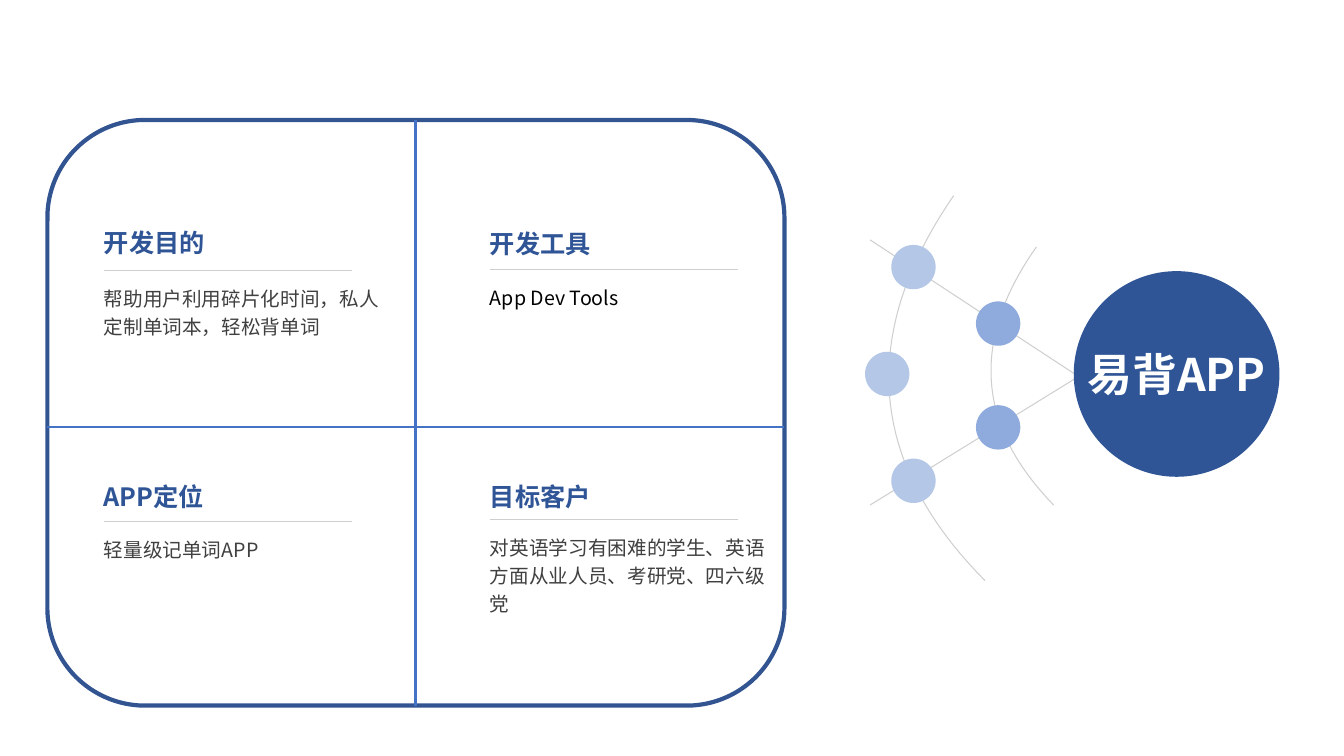
from lxml.etree import SubElement
from pptx import Presentation
from pptx.dml.color import RGBColor
from pptx.enum.shapes import MSO_CONNECTOR, MSO_SHAPE
from pptx.enum.text import MSO_ANCHOR, PP_ALIGN
from pptx.oxml.ns import qn
from pptx.util import Inches, Pt

FONT = "Noto Sans CJK SC"
NAVY = RGBColor(0x2F, 0x55, 0x97)
FRAME_BLUE = RGBColor(0x32, 0x54, 0x91)
DIVIDER_BLUE = RGBColor(0x44, 0x72, 0xC4)
MID_BLUE = RGBColor(0x8F, 0xAA, 0xDC)
PALE_BLUE = RGBColor(0xB4, 0xC7, 0xE7)
GREY = RGBColor(0xCF, 0xCF, 0xCF)
DARK_GREY = RGBColor(0x40, 0x40, 0x40)
BLACK = RGBColor(0, 0, 0)
WHITE = RGBColor(0xFF, 0xFF, 0xFF)

prs = Presentation()
prs.slide_width = Inches(13.33)
prs.slide_height = Inches(7.5)
slide = prs.slides.add_slide(prs.slide_layouts[6])
shapes = slide.shapes


def add_line(x1, y1, x2, y2, color=GREY, width=0.75):
    line = shapes.add_connector(
        MSO_CONNECTOR.STRAIGHT, Inches(x1), Inches(y1), Inches(x2), Inches(y2))
    line.line.color.rgb = color
    line.line.width = Pt(width)
    SubElement(line._element.spPr, qn("a:effectLst"))
    return line


def write_text(shape, text, size, color, bold, align, spacing, anchor, wrap, inset):
    frame = shape.text_frame
    frame_format = {"word_wrap": wrap, "vertical_anchor": anchor}
    for side in ("left", "top", "right", "bottom"):
        frame_format[f"margin_{side}"] = Inches(inset)
    for name, value in frame_format.items():
        setattr(frame, name, value)
    paragraph = frame.paragraphs[0]
    paragraph.alignment = align
    paragraph.line_spacing = spacing
    run = paragraph.add_run()
    run.text = text
    for name, value in {"size": Pt(size), "bold": bold, "name": FONT}.items():
        setattr(run.font, name, value)
    run.font.color.rgb = color
    SubElement(run._r.get_or_add_rPr(), qn("a:ea"), typeface=FONT)


ORBITS = [
    [(10.45, 5.01), (9.68, 4.22), (9.63, 3.37), (10.28, 2.45)],
    [(9.77, 5.76), (8.61, 4.59), (8.51, 3.32), (9.46, 1.94)],
]
STEPS = 40
for controls in ORBITS:
    points = []
    for step in range(STEPS + 1):
        t = step / STEPS
        weights = [(1 - t) ** 3, 3 * t * (1 - t) ** 2, 3 * t ** 2 * (1 - t), t ** 3]
        points.append(tuple(
            Inches(sum(w * c[axis] for w, c in zip(weights, controls)))
            for axis in (0, 1)))
    builder = shapes.build_freeform(*points[0])
    builder.add_line_segments(points[1:], close=False)
    orbit = builder.convert_to_shape()
    orbit.shadow.inherit = False
    orbit.fill.background()
    orbit.line.color.rgb = GREY
    orbit.line.width = Pt(0.75)

add_line(8.63, 2.38, 10.69, 3.73)
add_line(10.69, 3.74, 8.63, 5.01)

CIRCLES = [
    (9.68, 2.99, 0.44, MID_BLUE),
    (9.68, 4.02, 0.44, MID_BLUE),
    (8.84, 2.43, 0.44, PALE_BLUE),
    (8.58, 3.49, 0.44, PALE_BLUE),
    (8.84, 4.55, 0.44, PALE_BLUE),
    (10.65, 2.69, 2.04, NAVY),
]
for left, top, diameter, color in CIRCLES:
    circle = shapes.add_shape(
        MSO_SHAPE.OVAL, Inches(left), Inches(top), Inches(diameter), Inches(diameter))
    circle.shadow.inherit = False
    circle.fill.solid()
    circle.fill.fore_color.rgb = color
    circle.line.fill.background()
app_circle = circle
write_text(app_circle, "易背APP", 32, WHITE, True, PP_ALIGN.CENTER, 1.0,
           MSO_ANCHOR.MIDDLE, False, 0.02)

QUADRANTS = [
    (1.03, 2.13, 2.68, 2.8, "开发目的",
     "帮助用户利用碎片化时间，私人定制单词本，轻松背单词", DARK_GREY),
    (1.03, 4.65, 5.17, 5.29, "APP定位", "轻量级记单词APP", DARK_GREY),
    (4.86, 2.14, 2.67, 2.79, "开发工具", "App Dev Tools", BLACK),
    (4.86, 4.65, 5.15, 5.27, "目标客户",
     "对英语学习有困难的学生、英语方面从业人员、考研党、四六级党", DARK_GREY),
]
for left, heading_top, rule_y, detail_top, heading, detail, color in QUADRANTS:
    detail_box = shapes.add_textbox(
        Inches(left), Inches(detail_top), Inches(2.77), Inches(1.23))
    write_text(detail_box, detail, 14, color, False, PP_ALIGN.LEFT, 1.2,
               MSO_ANCHOR.TOP, True, 0)
    heading_box = shapes.add_textbox(
        Inches(left), Inches(heading_top), Inches(2.77), Inches(0.5))
    write_text(heading_box, heading, 18, NAVY, True, PP_ALIGN.JUSTIFY, 1.2,
               MSO_ANCHOR.MIDDLE, False, 0)
    add_line(left, rule_y, left + 2.46, rule_y)

frame = shapes.add_shape(
    MSO_SHAPE.ROUNDED_RECTANGLE, Inches(0.47), Inches(1.19), Inches(7.31), Inches(5.81))
frame.shadow.inherit = False
frame.fill.background()
frame.line.color.rgb = FRAME_BLUE
frame.line.width = Pt(3)

add_line(0.47, 4.24, 7.78, 4.24, DIVIDER_BLUE, 1.5)
vertical_divider = add_line(4.12, 1.19, 4.12, 7, DIVIDER_BLUE, 2.25)
vertical_divider.begin_connect(frame, 0)
vertical_divider.end_connect(frame, 2)

prs.save("out.pptx")
